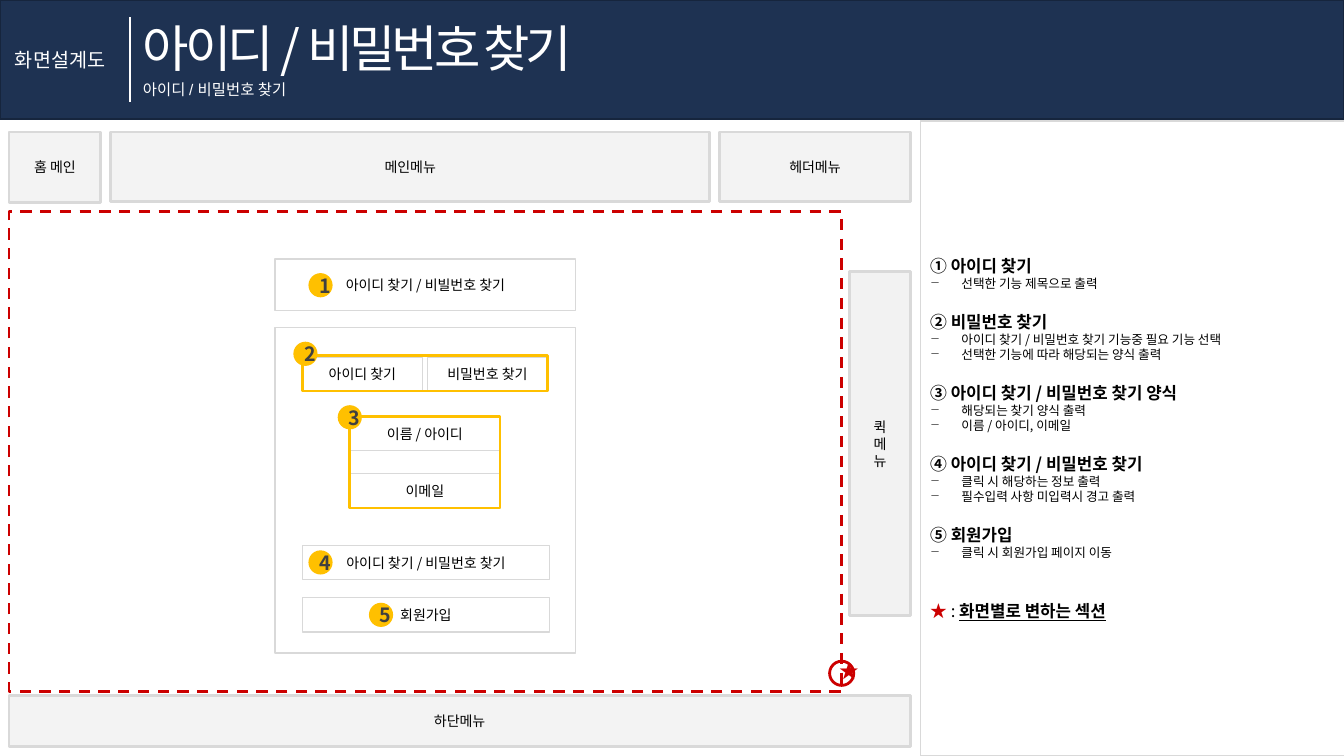
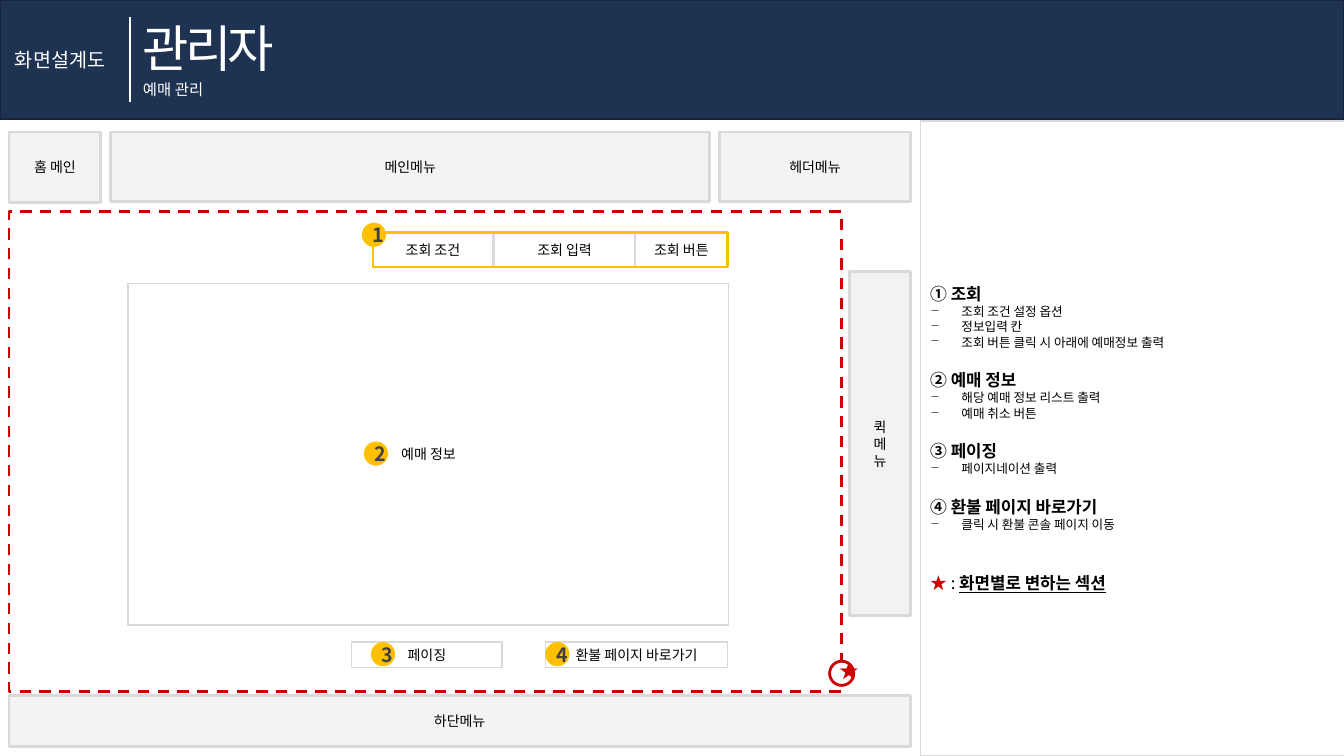
"""Build two wireframe slides: account search and booking administration."""
from lxml import etree
from pptx import Presentation, util as u
from pptx.dml.color import RGBColor
from pptx.enum import shapes as s, text as t
from pptx.oxml.ns import qn

NAVY, WHITE, BLACK, GRAY = "1E3252", "FFFFFF", "000000", "D9D9D9"
RED, AMBER = "CC0000", "FFC000"
KOREAN_FONT = "Noto Sans CJK KR"
LINE_HEIGHT = 1.21
HEADING_SIZE, DETAIL_SIZE = 12, 9
BLANK_LINE = HEADING_SIZE * LINE_HEIGHT
BULLET_INDENT = u.Inches(0.31)
RECTANGLE, OVAL = s.MSO_SHAPE.RECTANGLE, s.MSO_SHAPE.OVAL
LEFT, CENTER = t.PP_ALIGN.LEFT, t.PP_ALIGN.CENTER

presentation = Presentation()
presentation.slide_width = u.Inches(13.33)
presentation.slide_height = u.Inches(7.5)
COLUMN = presentation.slide_width / 160
ROW = presentation.slide_height / 90


def paint(fill, color):
    """Fill solidly with a hex colour, or leave empty for None."""
    if color is None:
        fill.background()
    else:
        fill.solid()
        fill.fore_color.rgb = RGBColor.from_string(color)


def write(frame, content, size=10, color=BLACK, bold=False, underline=False, font=KOREAN_FONT,
          tracking=0, align=CENTER, before=0, continued=False):
    """Add a run, in a new paragraph unless continued, and return its paragraph."""
    paragraph = frame.paragraphs[-1]
    if paragraph.runs and not continued:
        paragraph = frame.add_paragraph()
    if not continued:
        paragraph.alignment = align
        paragraph.line_spacing = u.Pt(size * LINE_HEIGHT)
        paragraph.space_before = u.Pt(before)
    run = paragraph.add_run()
    run.text = content
    run.font.size, run.font.bold, run.font.underline = u.Pt(size), bold, underline
    paint(run.font.fill, color)
    run.font.name = font
    properties = run.font._element
    etree.SubElement(properties, qn("a:ea"), typeface=KOREAN_FONT)
    if tracking:
        properties.set("spc", str(tracking * 100))
    return paragraph


STYLES = {
    "band": dict(preset=RECTANGLE, fill=NAVY, line="16253D", weight=1),
    "card": dict(preset=RECTANGLE, fill=WHITE, line=GRAY, weight=1),
    "menu": dict(preset=RECTANGLE, fill=GRAY, opacity=30, line=GRAY, weight=2),
    "quick": dict(preset=RECTANGLE, fill="BFBFBF", opacity=20, line=GRAY, weight=2),
    "outline": dict(preset=RECTANGLE, line=AMBER, weight=2),
    "section": dict(preset=RECTANGLE, line=RED, weight=2, dash=True),
    "ring": dict(preset=OVAL, fill=WHITE, line=RED, weight=2),
    "badge": dict(preset=OVAL, fill=AMBER, text=dict(size=14, color="404040", bold=True)),
    "star": dict(text=dict(size=14, color=RED)),
    "title": dict(text=dict(size=36, color=WHITE, tracking=-3, align=LEFT)),
    "label": dict(text=dict(size=14, color=WHITE, align=LEFT)),
    "subtitle": dict(text=dict(size=11, color=WHITE, font="Arial", align=LEFT)),
}

DOT = 2.88
CHROME = [
    ("band", "", 0, 0, 160, 14.16),
    ("label", "화면설계도", 0.6, 5.04, 14.2, 4.08),
    ("menu", "홈 메인", 1.08, 15.72, 10.92, 8.4),
    ("menu", "메인메뉴", 13.2, 15.72, 71.28, 8.28),
    ("menu", "헤더메뉴", 85.68, 15.72, 22.68, 8.28),
    ("menu", "하단메뉴", 1.08, 82.8, 107.28, 6.12),
    ("quick", "퀵\n메\n뉴", 101.16, 32.28, 7.2, 41.04),
]
SECTION = [("section", "", 1.08, 25.2, 99.12, 57.12)]
SECTION_MARK = [
    ("ring", "", 98.76, 78.72, DOT, DOT),
    ("star", "★", 98.76, 77.76, DOT, 4.08),
]

SCREENS = [
    dict(
        title="아이디 / 비밀번호 찾기",
        subtitle="아이디 / 비밀번호 찾기",
        body=[
            ("card", "아이디 찾기 / 비빌번호 찾기", 32.76, 30.84, 35.76, 6.12),
            ("card", "", 32.76, 39, 35.76, 38.76),
            ("card", "아이디 찾기 / 비밀번호 찾기", 36, 64.92, 29.4, 4.08),
            ("card", "회원가입", 36, 71.16, 29.4, 4.08),
            ("card", "이름 / 아이디", 41.64, 49.56, 17.88, 4.08),
            ("card", "이메일", 41.64, 56.4, 17.88, 4.08),
            ("card", "아이디 찾기", 36, 42.48, 14.28, 4.08),
            ("card", "비밀번호 찾기", 50.88, 42.48, 14.28, 4.08),
            ("outline", "", 36, 42.36, 29.16, 4.2),
            ("outline", "", 41.64, 49.56, 17.88, 10.92),
            *SECTION_MARK, *SECTION,
        ],
        badges=[(36.72, 32.52), (34.92, 40.68), (40.2, 48.24), (36.72, 65.52), (43.92, 71.76)],
        notes=[
            ("① 아이디 찾기", ["선택한 기능 제목으로 출력"]),
            ("② 비밀번호 찾기", ["아이디 찾기 / 비밀번호 찾기 기능중 필요 기능 선택",
                           "선택한 기능에 따라 해당되는 양식 출력"]),
            ("③ 아이디 찾기 / 비밀번호 찾기 양식", ["해당되는 찾기 양식 출력", "이름 / 아이디, 이메일"]),
            ("④ 아이디 찾기 / 비밀번호 찾기", ["클릭 시 해당하는 정보 출력",
                                    "필수입력 사항 미입력시 경고 출력"]),
            ("⑤ 회원가입", ["클릭 시 회원가입 페이지 이동"]),
        ],
    ),
    dict(
        title="관리자",
        subtitle="예매 관리",
        body=[
            ("card", "예매 정보", 15.24, 33.72, 71.52, 40.68),
            ("card", "페이징", 41.88, 76.44, 17.88, 3),
            ("card", "환불 페이지 바로가기", 64.92, 76.44, 21.72, 3),
            ("card", "조회 입력", 58.8, 27.72, 16.8, 4.08),
            ("card", "조회 조건", 44.4, 27.72, 14.28, 4.08),
            ("card", "조회 버튼", 75.6, 27.72, 11.04, 4.08),
            ("outline", "", 44.4, 27.72, 42.24, 4.08),
            *SECTION, *SECTION_MARK,
        ],
        badges=[(43.08, 26.52), (43.32, 52.56), (44.16, 76.44), (64.92, 76.44)],
        notes=[
            ("① 조회", ["조회 조건 설정 옵션", "정보입력 칸", "조회 버튼 클릭 시 아래에 예매정보 출력"]),
            ("② 예매 정보", ["해당 예매 정보 리스트 출력", "예매 취소 버튼"]),
            ("③ 페이징", ["페이지네이션 출력"]),
            ("④ 환불 페이지 바로가기", ["클릭 시 환불 콘솔 페이지 이동"]),
        ],
    ),
]

for screen in SCREENS:
    slide = presentation.slides.add_slide(presentation.slide_layouts[6])
    headings = [
        ("title", screen["title"], 15.84, 1.32, 100, 8.52),
        ("subtitle", screen["subtitle"], 15.84, 8.88, 100, 3.48),
    ]
    badges = [("badge", str(number), column, row, DOT, DOT)
              for number, (column, row) in enumerate(screen["badges"], 1)]
    panel = ("card", "", 109.56, 14.4, 50.64, 75.6)

    for kind, content, column, row, columns, rows in CHROME + headings + screen["body"] + badges + [panel]:
        style = STYLES[kind]
        box = [round(length) for length in (column * COLUMN, row * ROW, columns * COLUMN, rows * ROW)]
        if "preset" in style:
            shape = slide.shapes.add_shape(style["preset"], *box)
            shape.shadow.inherit = False
            paint(shape.fill, style.get("fill"))
            paint(shape.line.fill, style.get("line"))
            if "weight" in style:
                shape.line.width = u.Pt(style["weight"])
            if "dash" in style:
                shape.line.dash_style = s_dash = 4
            if "opacity" in style:
                color = shape.element.spPr.find(qn("a:solidFill")).find(qn("a:srgbClr"))
                etree.SubElement(color, qn("a:alpha"), val=str(style["opacity"] * 1000))
        else:
            shape = slide.shapes.add_textbox(*box)
        frame = shape.text_frame
        frame.word_wrap = True
        frame.vertical_anchor = t.MSO_ANCHOR.MIDDLE
        for line in content.splitlines():
            write(frame, line, **style.get("text", {}))

    for index, (heading, details) in enumerate(screen["notes"]):
        write(frame, heading, size=HEADING_SIZE, bold=True, align=LEFT, before=BLANK_LINE if index else 0)
        for detail in details:
            paragraph = write(frame, detail, size=DETAIL_SIZE, align=LEFT)
            properties = paragraph._p.get_or_add_pPr()
            properties.set("marL", str(BULLET_INDENT))
            properties.set("indent", str(-BULLET_INDENT))
            etree.SubElement(properties, qn("a:buChar"), char="−")
    write(frame, "★ ", size=HEADING_SIZE, color=RED, bold=True, align=LEFT, before=2 * BLANK_LINE)
    write(frame, ": ", size=HEADING_SIZE, continued=True)
    write(frame, "화면별로 변하는 섹션", size=HEADING_SIZE, bold=True, underline=True, continued=True)

    ends = [round(length) for length in (15.48 * COLUMN, 2.04 * ROW, 15.48 * COLUMN, 12.12 * ROW)]
    divider = slide.shapes.add_connector(s.MSO_CONNECTOR.STRAIGHT, *ends)
    paint(divider.line.fill, WHITE)
    divider.line.width = u.Pt(1.5)
    etree.SubElement(divider.element.spPr, qn("a:effectLst"))

presentation.save("out.pptx")
